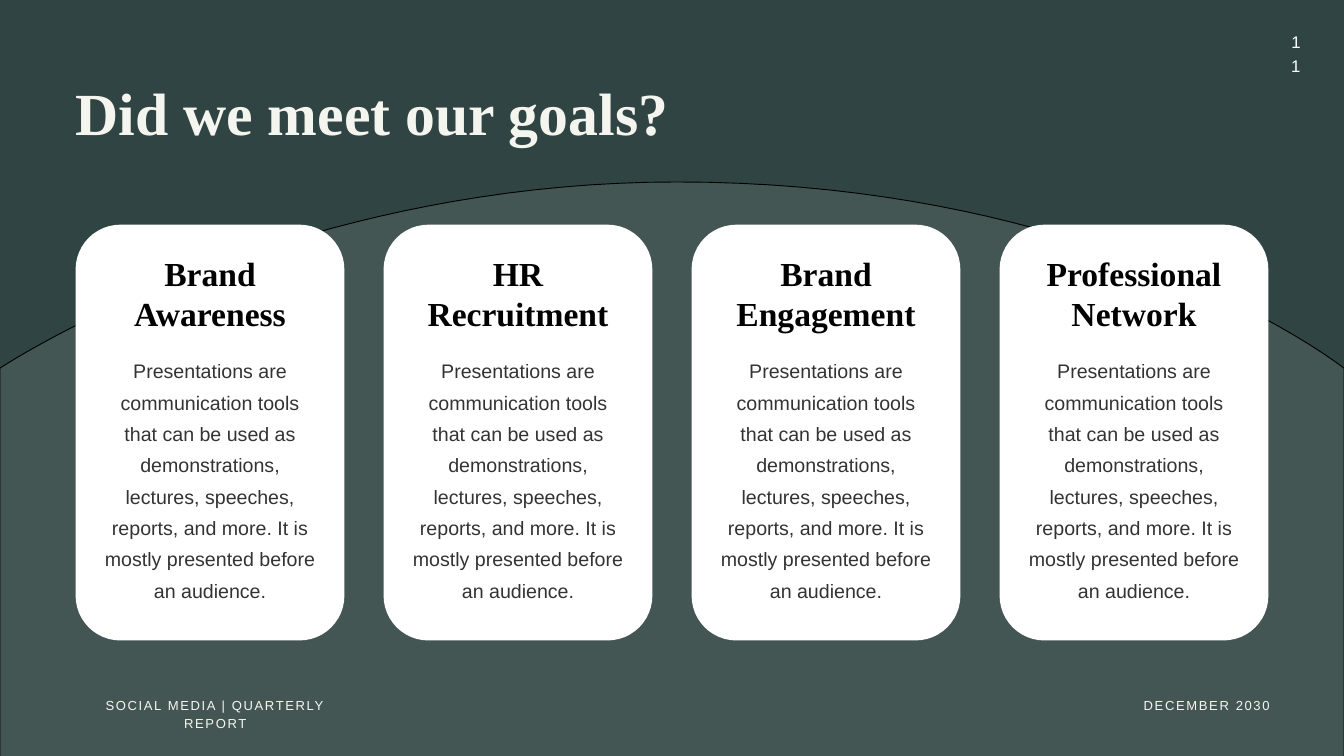
"""Build the goals slide of a quarterly social media report."""
from dataclasses import dataclass

from lxml import etree
from pptx import Presentation
from pptx.dml.color import RGBColor
from pptx.enum.shapes import MSO_SHAPE
from pptx.enum.text import MSO_ANCHOR, MSO_AUTO_SIZE, PP_ALIGN
from pptx.oxml.ns import qn
from pptx.util import Pt

PX = 9525
LEFT, CENTER, RIGHT = PP_ALIGN.LEFT, PP_ALIGN.CENTER, PP_ALIGN.RIGHT
TOP = MSO_ANCHOR.TOP
NO_AUTOFIT = MSO_AUTO_SIZE.NONE
ROUNDED_RECTANGLE = MSO_SHAPE.ROUNDED_RECTANGLE


@dataclass(frozen=True)
class Theme:
    background: str = "304543"
    cream: str = "F5F5EF"
    white: str = "FFFFFF"
    black: str = "000000"
    serif: str = "Times New Roman"
    sans: str = "Arial"
    title_size: int = 64
    heading_size: int = 36
    body_size: int = 21
    number_size: int = 18
    footer_size: int = 14


def set_opacity(element, percent):
    for color in element.iter(qn("a:srgbClr")):
        etree.SubElement(color, qn("a:alpha")).set("val", str(percent * 1000))


def write_text(text, *, box, size, line, color, font=Theme.sans, bold=False,
               align=CENTER, spacing=0, opacity=100, shape=None):
    left, top, width, height = [value * PX for value in box]
    if shape is None:
        shape = slide.shapes.add_textbox(left, top, width, height)
    shape.left, shape.top, shape.width, shape.height = left, top, width, height
    frame = shape.text_frame
    frame.margin_left = frame.margin_right = 0
    frame.margin_top = frame.margin_bottom = 0
    frame.vertical_anchor = TOP
    frame.auto_size = NO_AUTOFIT
    frame.word_wrap = True
    frame.text = text
    for paragraph in frame.paragraphs:
        paragraph.alignment = align
        paragraph.line_spacing = Pt(line)
        for run in paragraph.runs:
            run.font.name = font
            run.font.size = Pt(size)
            run.font.bold = bold
            run.font.color.rgb = RGBColor.from_string(color)
    if spacing:
        for properties in shape.element.iter(qn("a:rPr")):
            properties.set("spc", str(spacing))
    if opacity < 100:
        set_opacity(shape.element, opacity)


theme = Theme()
presentation = Presentation()
presentation.slide_width = 1920 * PX
presentation.slide_height = 1080 * PX
slide = presentation.slides.add_slide(presentation.slide_layouts[5])
slide.background.fill.solid()
slide.background.fill.fore_color.rgb = RGBColor.from_string(theme.background)

hill_curves = [
    [(0, 526), (0, 526), (399, 260), (967, 260)],
    [(967, 260), (1584, 260), (1920, 526), (1920, 526)],
]
steps = 40
hill_points = [(0, 526 * PX)]
for start, first, second, end in hill_curves:
    for step in range(1, steps + 1):
        t = step / steps
        weights = ((1 - t) ** 3, 3 * t * (1 - t) ** 2, 3 * t ** 2 * (1 - t), t ** 3)
        hill_points.append(tuple(
            PX * sum(weight * value for weight, value in zip(weights, values))
            for values in zip(start, first, second, end)
        ))
builder = slide.shapes.build_freeform(0, 1150 * PX)
builder.add_line_segments(hill_points + [(1920 * PX, 1150 * PX)], close=True)
hill = builder.convert_to_shape()
hill.shadow.inherit = False
hill.fill.solid()
hill.fill.fore_color.rgb = RGBColor.from_string(theme.cream)
set_opacity(hill.element, 10)
hill.line.color.rgb = RGBColor.from_string(theme.black)
hill.line.width = Pt(1)

write_text("Did we meet our goals?", shape=slide.shapes.title, box=(108, 108, 1083, 102),
           size=theme.title_size, line=77.4, color=theme.cream, font=theme.serif,
           bold=True, align=LEFT)
write_text("SOCIAL MEDIA | QUARTERLY REPORT", box=(114, 992, 387, 25),
           size=theme.footer_size, line=19.6, color=theme.cream, spacing=170)
write_text("DECEMBER 2030", box=(1596, 993, 218, 25), size=theme.footer_size,
           line=19.6, color=theme.cream, align=RIGHT, spacing=170)

goals = ["Brand Awareness", "HR Recruitment", "Brand\nEngagement", "Professional\nNetwork"]
description = (
    "Presentations are communication tools that can be used as demonstrations, "
    "lectures, speeches, reports, and more. It is mostly presented before an audience."
)
card_width, card_pitch, card_radius, card_padding = 384, 440, 64, 38
text_width = card_width - 2 * card_padding
for index, goal in enumerate(goals):
    card_left = 108 + index * card_pitch
    card = slide.shapes.add_shape(ROUNDED_RECTANGLE, card_left * PX, 321 * PX,
                                  card_width * PX, 594 * PX)
    card.adjustments[0] = card_radius / card_width
    card.shadow.inherit = False
    card.fill.solid()
    card.fill.fore_color.rgb = RGBColor.from_string(theme.white)
    card.line.fill.background()
    text_left = card_left + card_padding
    write_text(goal, box=(text_left, 361, text_width, 114), size=theme.heading_size,
               line=43.2, color=theme.black, font=theme.serif, bold=True)
    write_text(description, box=(text_left, 502, text_width, 348), size=theme.body_size,
               line=33.6, color=theme.black, opacity=80)

write_text("11", box=(1843, 41, 16, 20), size=theme.number_size, line=25.2,
           color=theme.white)

presentation.save("out.pptx")
